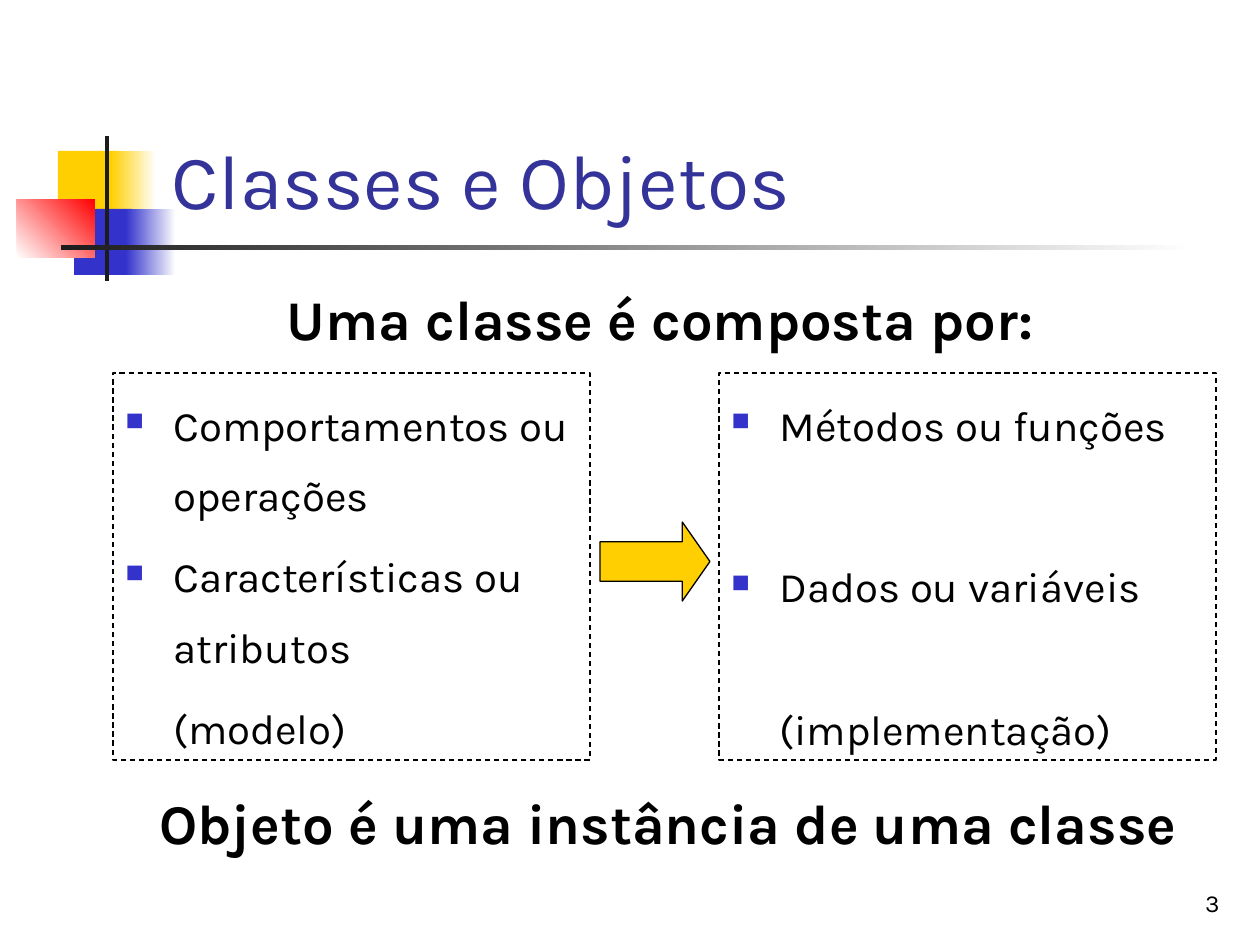
from lxml import etree
from pptx import Presentation
from pptx.dml.color import RGBColor
from pptx.enum.dml import MSO_LINE
from pptx.enum.shapes import MSO_SHAPE
from pptx.enum.text import MSO_ANCHOR, MSO_AUTO_SIZE, PP_ALIGN
from pptx.oxml.ns import qn
from pptx.util import Emu, Pt

RECT, ARROW = MSO_SHAPE.RECTANGLE, MSO_SHAPE.RIGHT_ARROW
TOP, BOTTOM = MSO_ANCHOR.TOP, MSO_ANCHOR.BOTTOM
LEFT, CENTER, RIGHT = PP_ALIGN.LEFT, PP_ALIGN.CENTER, PP_ALIGN.RIGHT


class Theme:
    font = "Karla"
    ink, title, white = "000000", "333399", "FFFFFF"
    gold, blue, red, dark = "FFCF01", "3333CC", "FF0000", "1C1C1C"
    head, lead, body, note = 44, 32, 24, 14


# Content
TITLE = "Classes e Objetos"
# text, box, size, bold, align, anchor
LINES = [
    ("Uma classe é composta por:", (125, 278, 1071, 97),
     Theme.lead, True, CENTER, TOP),
    ("Objeto é uma instância de uma classe", (113, 782, 1111, 97),
     Theme.lead, True, CENTER, TOP),
    ("3", (970, 861, 262, 63), Theme.note, False, RIGHT, BOTTOM),
]
# box, then items: text, bullet, points before
PANELS = [
    ((113, 373, 477, 387), [
        ("Comportamentos ou operações", True, 0),
        ("Características ou atributos", True, 6),
        ("(modelo)", False, 6),
    ]),
    ((719, 373, 497, 387), [
        ("Métodos ou funções", True, 0),
        ("Dados ou variáveis", True, 52),
        ("(implementação)", False, 41),
    ]),
]
# box, colours from start to end, angle
DECOR = [
    ((58, 151, 61, 66), [Theme.gold], 0),
    ((111, 151, 45, 66), [Theme.gold, Theme.white], 0),
    ((74, 209, 58, 66), [Theme.blue], 0),
    ((126, 209, 50, 66), [Theme.blue, Theme.white], 0),
    ((17, 199, 78, 59), [Theme.white, Theme.red], 45),
    ((105, 136, 4, 145), [Theme.dark], 0),
    ((61, 245, 1134, 5), [Theme.dark, Theme.white], 0),
]
POINTER = (600, 522, 110, 79)
INDENT = 48


def px(n):
    return Emu(round(n * 914400 / 126))


def rgb(code):
    return RGBColor.from_string(code)


def place(box):
    return [px(n) for n in box]


def add_run(para, text, size, color=Theme.ink, bold=False):
    run = para.add_run()
    run.text = text
    font = run.font
    font.name, font.size, font.bold = Theme.font, Pt(size), bold
    font.color.rgb = rgb(color)


def set_frame(frame, anchor):
    frame.word_wrap = True
    frame.auto_size = MSO_AUTO_SIZE.NONE
    frame.vertical_anchor = anchor


def add_shape(slide, kind, box, colors, angle=0):
    shape = slide.shapes.add_shape(kind, *place(box))
    shape.shadow.inherit = False
    shape.line.fill.background()
    fill = shape.fill
    if not colors:
        fill.background()
    elif len(colors) == 1:
        fill.solid()
        fill.fore_color.rgb = rgb(colors[0])
    else:
        fill.gradient()
        fill.gradient_angle = angle
        for stop, color in zip(fill.gradient_stops, colors):
            stop.color.rgb = rgb(color)
    return shape


def add_edge(shape):
    shape.line.color.rgb = rgb(Theme.ink)
    shape.line.width = Pt(0.75)


def set_bullet(para, bullet):
    props = para._p.get_or_add_pPr()
    props.set("marL", str(px(INDENT)))
    props.set("indent", str(-px(INDENT) if bullet else 0))
    if bullet:
        tint = etree.SubElement(props, qn("a:buClr"))
        etree.SubElement(tint, qn("a:srgbClr"), val=Theme.blue)
        etree.SubElement(props, qn("a:buSzPct"), val="60000")
        etree.SubElement(props, qn("a:buChar"), char="■")
    else:
        etree.SubElement(props, qn("a:buNone"))


def add_panel(slide, box, items):
    shape = add_shape(slide, RECT, box, [])
    add_edge(shape)
    shape.line.dash_style = MSO_LINE.DASH
    frame = shape.text_frame
    set_frame(frame, TOP)
    for i, (text, bullet, gap) in enumerate(items):
        para = frame.add_paragraph() if i else frame.paragraphs[0]
        set_bullet(para, bullet)
        para.alignment = LEFT
        para.line_spacing = 1.4
        para.space_before = Pt(gap)
        add_run(para, text, Theme.body)


def add_line(slide, text, box, size, bold, align, anchor):
    frame = slide.shapes.add_textbox(*place(box)).text_frame
    set_frame(frame, anchor)
    para = frame.paragraphs[0]
    para.alignment = align
    add_run(para, text, size, bold=bold)


def main():
    deck = Presentation()
    deck.slide_width, deck.slide_height = px(1260), px(945)
    slide = deck.slides.add_slide(deck.slide_layouts[5])

    # Corner blocks and rules
    for box, colors, angle in DECOR:
        add_shape(slide, RECT, box, colors, angle)

    # Title
    title = slide.shapes.title
    title.left, title.top, title.width, title.height = place((159, 29, 1073, 202))
    set_frame(title.text_frame, BOTTOM)
    para = title.text_frame.paragraphs[0]
    para.alignment = LEFT
    add_run(para, TITLE, Theme.head, Theme.title)

    # Panels and the arrow between them
    for box, items in PANELS:
        add_panel(slide, box, items)
    arrow = add_shape(slide, ARROW, POINTER, [Theme.gold])
    arrow.adjustments[0], arrow.adjustments[1] = 0.5, 0.35
    add_edge(arrow)

    # Statements and page number
    for line in LINES:
        add_line(slide, *line)

    deck.save("out.pptx")


if __name__ == "__main__":
    main()
